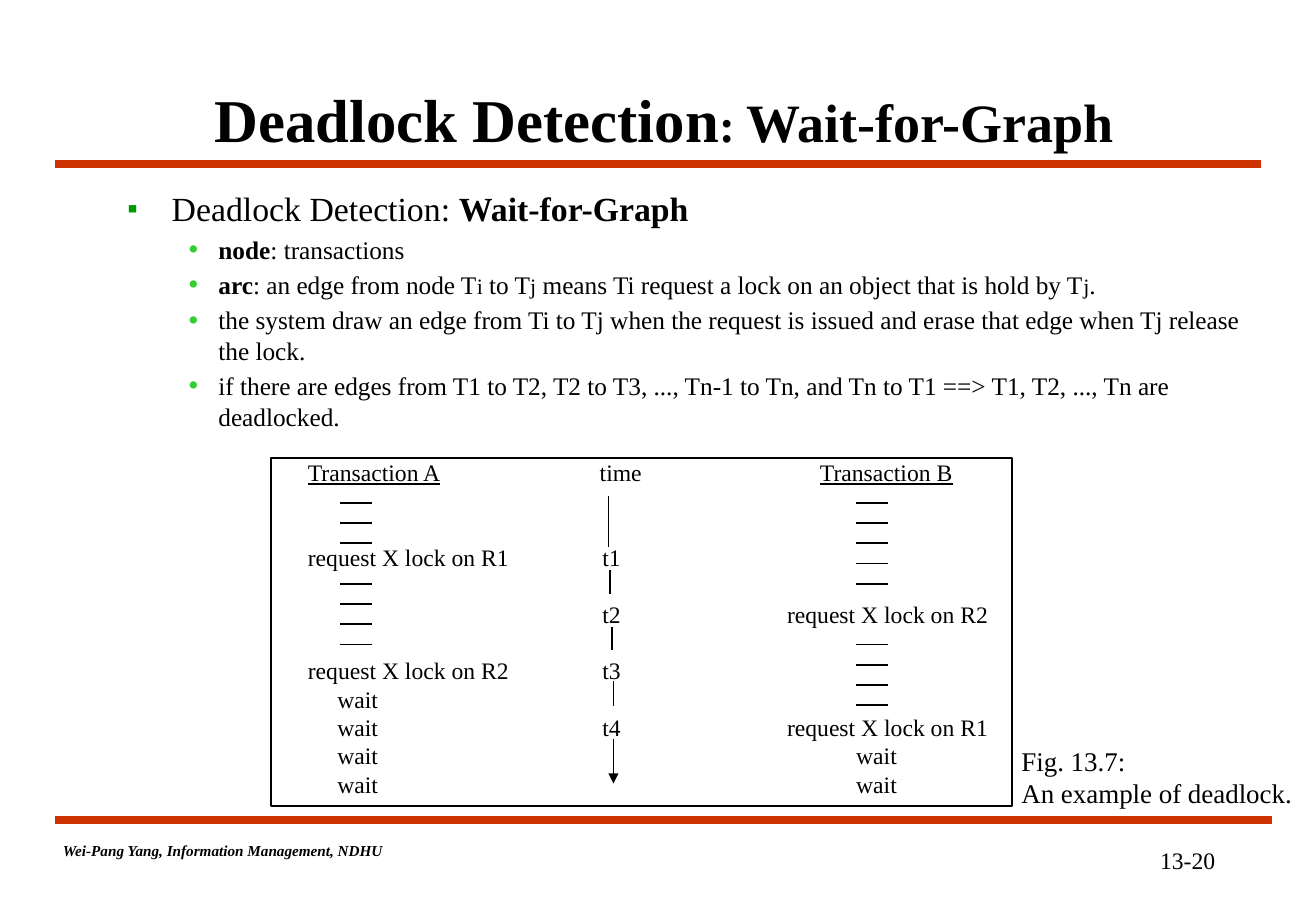
from lxml.etree import SubElement
from pptx import Presentation
from pptx.dml.color import RGBColor
from pptx.enum.shapes import MSO_CONNECTOR, MSO_SHAPE
from pptx.enum.text import MSO_ANCHOR, PP_ALIGN
from pptx.oxml.ns import qn
from pptx.util import Pt

COLORS = {"ink": "000000", "paper": "FFFFFF", "rule": "CC3300",
          "square": "009900", "dot": "33CC33"}
FONT = "Times New Roman"
LEADING = 1.2


class Deck:
    """Draws styled elements on the current slide, in points."""

    def __init__(self, prs):
        self.s = prs.slides.add_slide(prs.slide_layouts[6])

    def color(self, name):
        return RGBColor.from_string(COLORS[name])

    def line(self, x1, y1, x2, y2, color="ink", width=1, arrow=False):
        sp = self.s.shapes.add_connector(
            MSO_CONNECTOR.STRAIGHT, Pt(x1), Pt(y1), Pt(x2), Pt(y2))
        sp.line.color.rgb = self.color(color)
        sp.line.width = Pt(width)
        if arrow:
            SubElement(sp.line._get_or_add_ln(), qn("a:tailEnd"), type="triangle")
        SubElement(sp._element.spPr, qn("a:effectLst"))

    def frame(self, x, y, w, h):
        sp = self.s.shapes.add_shape(MSO_SHAPE.RECTANGLE, Pt(x), Pt(y), Pt(w), Pt(h))
        sp.shadow.inherit = False
        sp.fill.solid()
        sp.fill.fore_color.rgb = self.color("paper")
        sp.line.color.rgb = self.color("ink")
        sp.line.width = Pt(1)

    def box(self, x, y, w, h, anchor=MSO_ANCHOR.TOP):
        tf = self.s.shapes.add_textbox(Pt(x), Pt(y), Pt(w), Pt(h)).text_frame
        tf.word_wrap = True
        tf.vertical_anchor = anchor
        return tf

    def para(self, tf, size, before=0, align=PP_ALIGN.LEFT):
        first = tf.paragraphs[0]
        p = tf.add_paragraph() if first.runs else first
        p.alignment = align
        p.line_spacing = Pt(size * LEADING)
        p.space_before = Pt(before)
        return p

    def bullet(self, p, char, color, percent, left, hang):
        pPr = p._p.get_or_add_pPr()
        pPr.set("marL", str(Pt(left)))
        pPr.set("indent", str(Pt(-hang)))
        SubElement(SubElement(pPr, qn("a:buClr")), qn("a:srgbClr"), val=COLORS[color])
        SubElement(pPr, qn("a:buSzPct"), val=str(percent * 1000))
        SubElement(pPr, qn("a:buFont"), typeface=FONT)
        SubElement(pPr, qn("a:buChar"), char=char)

    def tabs(self, p, stops):
        tab_list = SubElement(p._p.get_or_add_pPr(), qn("a:tabLst"))
        for stop in stops:
            SubElement(tab_list, qn("a:tab"), pos=str(Pt(stop)), algn="l")

    def run(self, p, text, size, bold=False, italic=False, underline=False):
        r = p.add_run()
        r.text = text
        r.font.name = FONT
        r.font.size = Pt(size)
        r.font.bold = bold
        r.font.italic = italic
        r.font.underline = underline
        r.font.color.rgb = self.color("ink")


def rules_and_footer(deck):
    """Draws the two rules, the page number and the author line."""
    deck.line(32.4, 486, 753.8, 486, "rule", 4.5)
    deck.line(32.4, 97.2, 747.4, 97.2, "rule", 4.5)
    p = deck.para(deck.box(675, 498, 58, 25), 14, align=PP_ALIGN.CENTER)
    deck.run(p, "13-20", 14)
    p = deck.para(deck.box(30.2, 495.4, 232.6, 18), 9)
    deck.run(p, "Wei-Pang Yang, Information Management, NDHU", 9, bold=True, italic=True)


def title(deck):
    """Draws the slide title."""
    tf = deck.box(72, 49, 643.7, 42, MSO_ANCHOR.MIDDLE)
    p = deck.para(tf, 36, align=PP_ALIGN.CENTER)
    for text, size in (("Deadlock Detection", 36), (": ", 28), ("Wait-for-Graph", 32)):
        deck.run(p, text, size, bold=True)


def body(deck):
    """Draws the bulleted definition of the wait-for graph."""
    tf = deck.box(32.4, 108, 715, 250)
    p = deck.para(tf, 20)
    deck.bullet(p, "▪", "square", 88, 62.3, 26.3)
    deck.run(p, "Deadlock Detection: ", 20)
    deck.run(p, "Wait-for-Graph", 20, bold=True)
    points = [
        [("node", 15, True), (": transactions", 15)],
        [("arc", 15, True), (": an edge from node T", 15), ("i", 13), (" to T", 15),
         ("j", 13), (" means Ti request a lock on an object that is hold by T", 15),
         ("j", 13), (".", 15)],
        [("the system draw an edge from Ti to Tj when the request is issued and "
          "erase that edge when Tj release the lock.", 15)],
        [("if there are edges from T1 to T2, T2 to T3, ..., Tn-1 to Tn, and Tn to T1 "
          "==> T1, T2, ..., Tn are deadlocked.", 15)],
    ]
    for point in points:
        p = deck.para(tf, 15, before=3)
        deck.bullet(p, "•", "dot", 120, 90, 18)
        for part in point:
            deck.run(p, *part)


def schedule(deck):
    """Draws the framed schedule of the two transactions."""
    deck.frame(160.6, 271.4, 439.2, 206.6)
    tf = deck.box(175.4, 267.8, 438, 208)
    size, wait_a, time, lock_b, wait_b = 14, 17.5, 174.5, 284, 325
    rows = [
        (0, [(0, "Transaction A"), (173, "time"), (303.5, "Transaction B")]),
        (2, [(0, "request X lock on R1"), (time, "t1")]),
        (1, [(time, "t2"), (lock_b, "request X lock on R2")]),
        (1, [(0, "request X lock on R2"), (time, "t3")]),
        (0, [(wait_a, "wait")]),
        (0, [(wait_a, "wait"), (time, "t4"), (lock_b, "request X lock on R1")]),
        (0, [(wait_a, "wait"), (wait_b, "wait")]),
        (0, [(wait_a, "wait"), (wait_b, "wait")]),
    ]
    for skipped, cells in rows:
        p = deck.para(tf, size, before=skipped * size * LEADING)
        deck.tabs(p, [x for x, _ in cells if x])
        for x, text in cells:
            if x:
                deck.run(p, "\t", size)
            deck.run(p, text, size, underline=text.startswith("Transaction"))

    time_line = [(360.7, 293.8, 324), (361.4, 337.7, 352.1), (362.9, 371.5, 385.2),
                 (363.6, 403.9, 418.3), (363.6, 437.8, 464.4)]
    for x, top, bottom in time_line:
        deck.line(x, top, x, bottom, arrow=(x, top, bottom) == time_line[-1])

    for x, steps in ((201.6, (0, 1, 2, 4, 5, 6, 7)),
                     (507.6, (0, 1, 2, 3, 4, 7, 8, 9, 10))):
        for step in steps:
            y = 298 + 12 * step
            deck.line(x, y, x + 18.7, y)


def caption(deck):
    """Draws the figure caption."""
    tf = deck.box(598.3, 437.8, 181, 46)
    tf.word_wrap = False
    for text in ("Fig. 13.7:", "An example of deadlock."):
        deck.run(deck.para(tf, 16), text, 16)


def main():
    """Builds and saves the slide."""
    prs = Presentation()
    prs.slide_width, prs.slide_height = Pt(780), Pt(540)
    deck = Deck(prs)
    for draw in (rules_and_footer, title, body, schedule, caption):
        draw(deck)
    prs.save("out.pptx")


if __name__ == "__main__":
    main()
